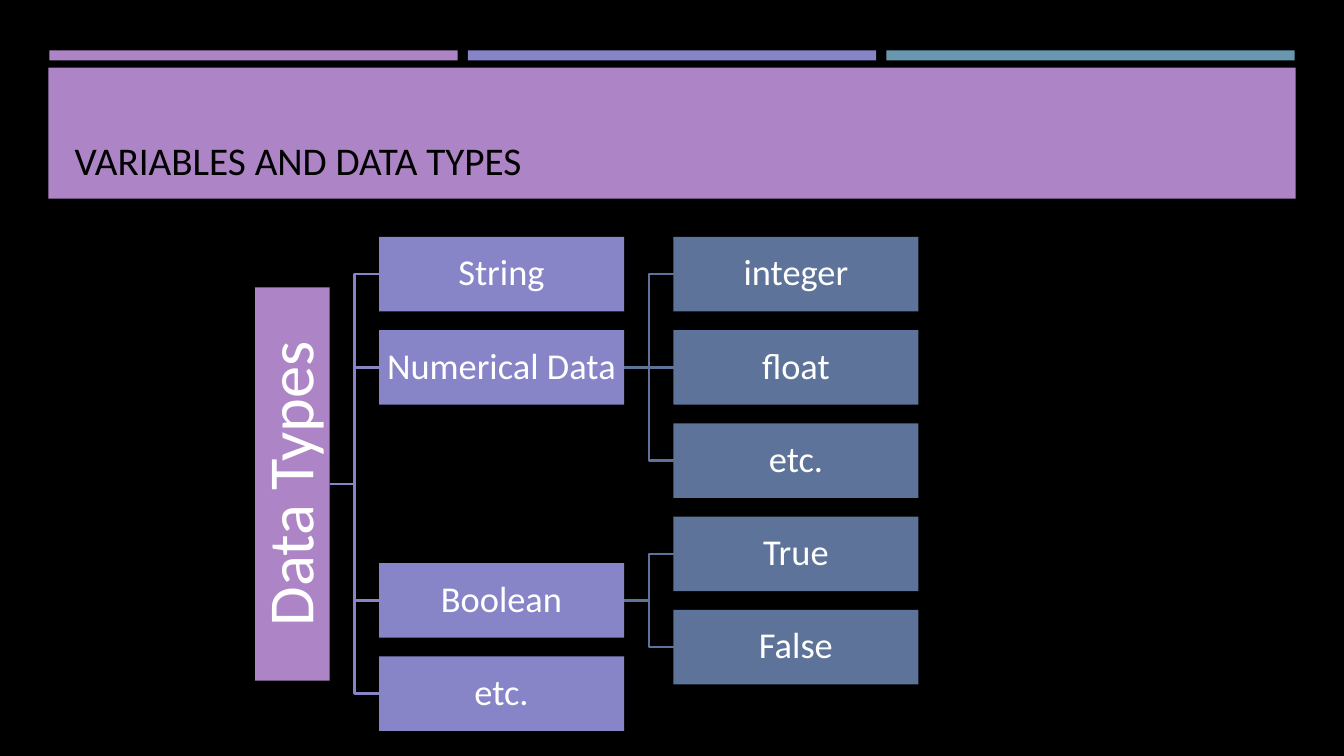
import pptx
import pptx.dml.color
import pptx.enum.shapes
import pptx.enum.text
import pptx.oxml.ns
import pptx.util
from dataclasses import dataclass
from lxml import etree

Inches, Pt = pptx.util.Inches, pptx.util.Pt
ALIGN, ANCHOR = pptx.enum.text.PP_ALIGN, pptx.enum.text.MSO_ANCHOR


@dataclass(frozen=True)
class Theme:
    font: str = "Calibri"
    black: str = "000000"
    white: str = "FFFFFF"
    purple: str = "AD84C6"
    violet: str = "8784C7"
    teal: str = "6997AF"
    slate: str = "5D739A"
    title_size: float = 28
    root_size: float = 46
    node_size: float = 26
    line_width: float = 1.75


class Deck:
    def __init__(self, theme):
        self.theme = theme
        self.prs = pptx.Presentation()
        self.prs.slide_width, self.prs.slide_height = Inches(13.33), Inches(7.5)
        self.s = self.prs.slides.add_slide(self.prs.slide_layouts[5])
        self.paint(self.s.background.fill, theme.black)

    def paint(self, fill, color):
        fill.solid()
        fill.fore_color.rgb = pptx.dml.color.RGBColor.from_string(color)

    def set_text(self, tf, text, size, color, align, anchor, inset):
        tf.word_wrap = True
        tf.auto_size = pptx.enum.text.MSO_AUTO_SIZE.NONE
        tf.vertical_anchor = anchor
        tf.margin_left = tf.margin_right = Inches(inset[0])
        tf.margin_top = tf.margin_bottom = Inches(inset[1])
        p = tf.paragraphs[0]
        p.alignment, p.line_spacing = align, 0.9
        r = p.add_run()
        r.text = text
        r.font.name, r.font.size = self.theme.font, Pt(size)
        r.font.color.rgb = pptx.dml.color.RGBColor.from_string(color)

    def title(self, text, x, y, w, h):
        sp = self.s.shapes.title
        sp.left, sp.top, sp.width, sp.height = map(Inches, (x, y, w, h))
        self.set_text(sp.text_frame, text, self.theme.title_size, self.theme.black,
                      ALIGN.LEFT, ANCHOR.BOTTOM, (0.1, 0.05))
        self.s.shapes.element.append(sp.element)  # bring in front of the band

    def rect(self, x, y, w, h, color):
        sp = self.s.shapes.add_shape(pptx.enum.shapes.MSO_SHAPE.RECTANGLE,
                                     *map(Inches, (x, y, w, h)))
        sp.shadow.inherit = False
        self.paint(sp.fill, color)
        sp.line.fill.background()
        return sp

    def node(self, text, cx, cy, w, h, color, size, rotation=0):
        sp = self.rect(cx - w / 2, cy - h / 2, w, h, color)
        sp.rotation = rotation
        self.set_text(sp.text_frame, text, size, self.theme.white,
                      ALIGN.CENTER, ANCHOR.MIDDLE, (0.02, 0.02))

    def branch(self, x1, y1, x2, y2, color):
        if y1 == y2:
            sp = self.s.shapes.add_connector(
                pptx.enum.shapes.MSO_CONNECTOR.STRAIGHT, *map(Inches, (x1, y1, x2, y2)))
            etree.SubElement(sp.element.spPr, pptx.oxml.ns.qn("a:effectLst"))
        else:
            mid = (x1 + x2) / 2
            fb = self.s.shapes.build_freeform(Inches(x1), Inches(y1))
            corners = ((mid, y1), (mid, y2), (x2, y2))
            fb.add_line_segments([(Inches(x), Inches(y)) for x, y in corners], close=False)
            sp = fb.convert_to_shape()
            sp.fill.background()
            sp.shadow.inherit = False
        self.paint(sp.line.fill, color)
        sp.line.width = Pt(self.theme.line_width)


# Tree grid: box size, columns and rows
BOX_W, BOX_H, GAP = 2.43, 0.74, 0.49
FIRST_ROW, ROW_STEP = 2.72, 1.25 * BOX_H
ROOT_X, ROOT_LENGTH = 2.9, 3.9
ROOT_RIGHT = ROOT_X + BOX_H / 2
TYPE_X = ROOT_RIGHT + GAP + BOX_W / 2
KIND_X = TYPE_X + BOX_W + GAP

# Each type: name, row, and its kinds with their rows
TYPES = [
    ("String", 0, []),
    ("Numerical Data", 1, [("integer", 0), ("float", 1), ("etc.", 2)]),
    ("Boolean", 3.5, [("True", 3), ("False", 4)]),
    ("etc.", 4.5, []),
]


def row_y(row):
    return FIRST_ROW + row * ROW_STEP


def main():
    t = Theme()
    deck = Deck(t)

    # Header bars, band and title
    for i, color in enumerate((t.purple, t.violet, t.teal)):
        deck.rect(0.49 + i * 4.15, 0.5, 4.05, 0.1, color)
    deck.rect(0.48, 0.67, 12.37, 1.3, t.purple)
    deck.title("VARIABLES AND DATA TYPES", 0.64, 0.77, 12.06, 1.11)

    # Branches, behind the boxes
    root_y = (row_y(TYPES[0][1]) + row_y(TYPES[-1][1])) / 2
    for name, row, kinds in TYPES:
        deck.branch(ROOT_RIGHT, root_y, ROOT_RIGHT + GAP, row_y(row), t.violet)
        for kind, kind_row in kinds:
            deck.branch(TYPE_X + BOX_W / 2, row_y(row),
                        KIND_X - BOX_W / 2, row_y(kind_row), t.slate)

    # Boxes
    deck.node("Data Types", ROOT_X, root_y, ROOT_LENGTH, BOX_H, t.purple, t.root_size, 270)
    for name, row, kinds in TYPES:
        deck.node(name, TYPE_X, row_y(row), BOX_W, BOX_H, t.violet, t.node_size)
        for kind, kind_row in kinds:
            deck.node(kind, KIND_X, row_y(kind_row), BOX_W, BOX_H, t.slate, t.node_size)

    deck.prs.save("out.pptx")


if __name__ == "__main__":
    main()
